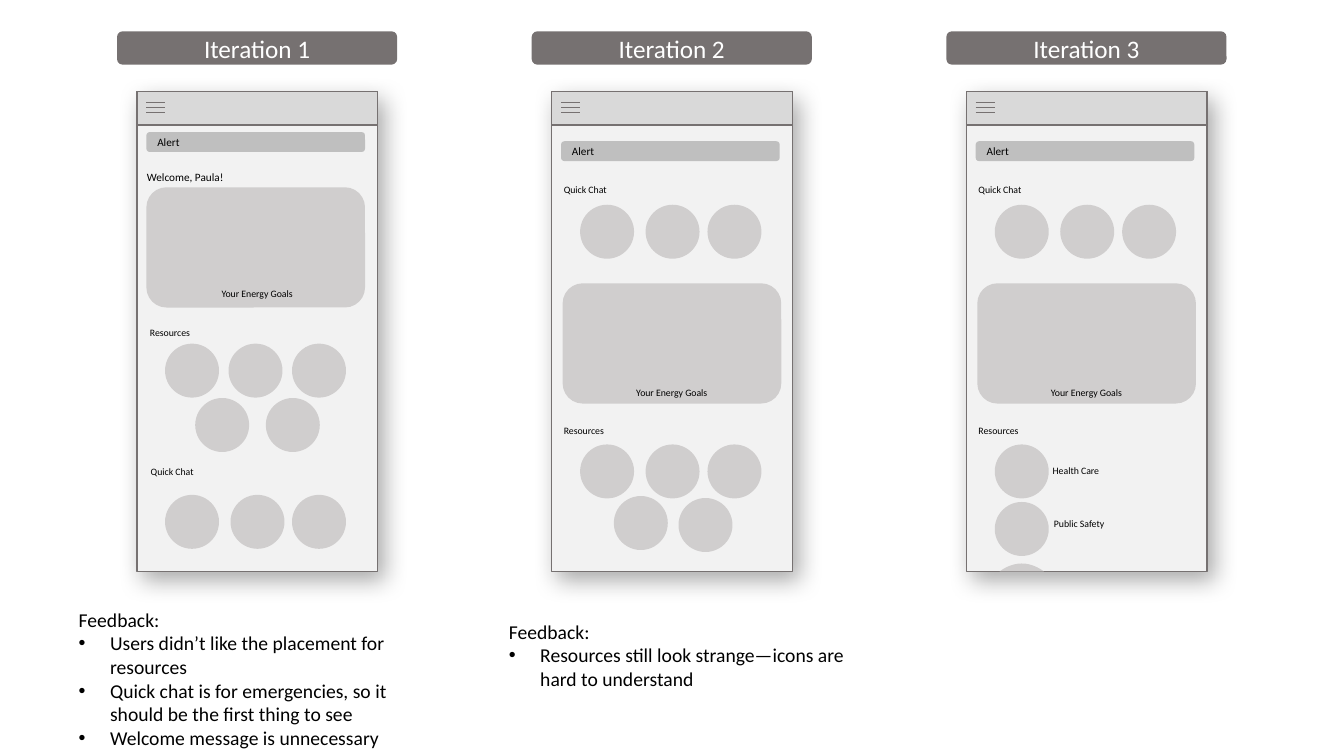
from lxml import etree
from pptx import Presentation
from pptx.dml.color import RGBColor
from pptx.enum import shapes, text
from pptx.oxml import ns, parse_xml
from pptx.util import Cm, Pt

BLACK = RGBColor(0x00, 0x00, 0x00)
WHITE = RGBColor(0xFF, 0xFF, 0xFF)
DARK = RGBColor(0x76, 0x71, 0x71)
ALERT = RGBColor(0xBF, 0xBF, 0xBF)
ICON = RGBColor(0xD0, 0xCE, 0xCE)
HEADER = RGBColor(0xD9, 0xD9, 0xD9)
SCREEN = RGBColor(0xF2, 0xF2, 0xF2)

FIRST_LEFT, PITCH = 3.45, 10.45
PHONE_TOP, PHONE_WIDTH, PHONE_HEIGHT = 2.31, 6.07, 12.09
BAR_HEIGHT, INSET, CARD_WIDTH = 0.84, 0.24, 5.51
CIRCLE = 1.36
CHAT_ROW = [(0.72, 5.16), (2.37, 5.16), (3.93, 5.16)]
LATER_LABELS = [("Quick Chat", 0.06, 4.5, 7), ("Resources", 0.06, 10.59, 7)]

ITERATIONS = [
    {
        "title": "Iteration 1", "alert": 3.33, "card": (0.24, 4.72), "goals": 7.13,
        "labels": [("Welcome, Paula!", 0, 4.17, 8), ("Resources", 0.08, 8.1, 7),
                   ("Quick Chat", 0.1, 11.61, 7)],
        "circles": [(0.71, 8.66), (2.31, 8.66), (3.91, 8.66), (1.47, 10.03), (3.25, 10.03),
                    (0.71, 12.47), (2.36, 12.47), (3.91, 12.47)],
    },
    {
        "title": "Iteration 2", "alert": 3.56, "card": (0.28, 7.14), "goals": 9.63,
        "labels": LATER_LABELS,
        "circles": CHAT_ROW + [(0.72, 11.2), (2.37, 11.2), (3.93, 11.2),
                               (1.57, 12.5), (3.2, 12.55)],
    },
    {
        "title": "Iteration 3", "alert": 3.56, "card": (0.28, 7.14), "goals": 9.63,
        "labels": LATER_LABELS + [("Health Care", 1.93, 11.58, 7),
                                  ("Public Safety", 1.96, 12.93, 7)],
        "circles": CHAT_ROW + [(0.72, 11.2), (0.72, 12.65)],
    },
]

FEEDBACK = [
    ((1.73, 15.19, 9.5, 3.84), [
        "Users didn’t like the placement for resources",
        "Quick chat is for emergencies, so it should be the first thing to see",
        "Welcome message is unnecessary",
    ]),
    ((12.57, 15.49, 9.5, 2.06), ["Resources still look strange—icons are hard to understand"]),
]


def write(paragraph, words, size=7, color=BLACK, align=text.PP_ALIGN.LEFT):
    """Put formatted words into a paragraph."""
    run = paragraph.add_run()
    run.text = words
    run.font.name, run.font.size, run.font.color.rgb = "Calibri", Pt(size), color
    paragraph.alignment = align


def add_box(slide, kind, left, top, width, height, fill, outlined=False):
    """Add a flat preset shape."""
    shape = slide.shapes.add_shape(kind, Cm(left), Cm(top), Cm(width), Cm(height))
    shape.shadow.inherit = False
    shape.fill.solid()
    shape.fill.fore_color.rgb = fill
    if outlined:
        shape.line.color.rgb, shape.line.width = DARK, Pt(1)
    else:
        shape.line.fill.background()
    shape.text_frame.vertical_anchor = text.MSO_ANCHOR.MIDDLE
    return shape


def add_label(slide, words, left, top, size, align=text.PP_ALIGN.LEFT):
    """Add a small caption on a phone screen."""
    box = slide.shapes.add_textbox(Cm(left), Cm(top), Cm(2.54), Cm(0.56))
    box.text_frame.word_wrap = True
    write(box.text_frame.paragraphs[0], words, size=size, align=align)


def add_menu(slide, left):
    """Draw the three menu lines."""
    for row in range(3):
        y = Cm(2.59 + 0.12 * row)
        line = slide.shapes.add_connector(
            shapes.MSO_CONNECTOR.STRAIGHT, Cm(left), y, Cm(left + 0.48), y)
        line.line.color.rgb, line.line.width = DARK, Pt(0.5)
        etree.SubElement(line._element.spPr, ns.qn("a:effectLst"))


def cast_shadow(shape):
    """Give a shape a soft shadow to the lower right."""
    effects = shape._element.spPr.find(ns.qn("a:effectLst"))
    effects.append(parse_xml(
        f'<a:outerShdw {ns.nsdecls("a")} blurRad="{Pt(17)}" dist="{Pt(7)}" dir="3300000" '
        'algn="ctr" rotWithShape="0"><a:srgbClr val="000000"><a:alpha val="32000"/>'
        '</a:srgbClr></a:outerShdw>'))


def add_cut_icon(slide, left):
    """Draw the top of an icon cut off by the screen edge."""
    half, base, rise, steps = 0.56, 14.4, 0.2, 12
    ratios = [2 * step / steps - 1 for step in range(steps + 1)]
    points = [(Cm(left + half * ratio), Cm(base - rise * (1 - ratio ** 2))) for ratio in ratios]
    builder = slide.shapes.build_freeform(*points[0])
    builder.add_line_segments(points[1:], close=True)
    shape = builder.convert_to_shape()
    shape.shadow.inherit = False
    shape.fill.solid()
    shape.fill.fore_color.rgb = ICON
    shape.line.fill.background()


def add_phone(slide, iteration, left):
    """Draw one iteration heading and its phone screen."""
    kinds = shapes.MSO_SHAPE
    heading = add_box(slide, kinds.ROUNDED_RECTANGLE, left - 0.5, 0.79, 7.06, BAR_HEIGHT, DARK)
    write(heading.text_frame.paragraphs[0], iteration["title"], size=18, color=WHITE,
          align=text.PP_ALIGN.CENTER)
    screen = add_box(slide, kinds.RECTANGLE, left, PHONE_TOP, PHONE_WIDTH, PHONE_HEIGHT,
                     SCREEN, outlined=True)
    cast_shadow(screen)
    add_box(slide, kinds.RECTANGLE, left, PHONE_TOP, PHONE_WIDTH, BAR_HEIGHT, HEADER,
            outlined=True)
    add_menu(slide, left + INSET)
    alert = add_box(slide, kinds.ROUNDED_RECTANGLE, left + INSET, iteration["alert"],
                    CARD_WIDTH, 0.5, ALERT)
    write(alert.text_frame.paragraphs[0], "Alert", size=8)
    card_x, card_y = iteration["card"]
    add_box(slide, kinds.ROUNDED_RECTANGLE, left + card_x, card_y, CARD_WIDTH, 3.03, ICON)
    add_label(slide, "Your Energy Goals", left + 1.76, iteration["goals"], 7,
              align=text.PP_ALIGN.CENTER)
    for x, y in iteration["circles"]:
        add_box(slide, kinds.OVAL, left + x, y, CIRCLE, CIRCLE, ICON)
    for words, x, y, size in iteration["labels"]:
        add_label(slide, words, left + x, y, size)


def fill_feedback(placeholder, place, comments):
    """Move a body placeholder and list the feedback in it."""
    placeholder.left, placeholder.top, placeholder.width, placeholder.height = map(Cm, place)
    frame = placeholder.text_frame
    frame.auto_size = text.MSO_AUTO_SIZE.NONE
    for row, words in enumerate(["Feedback:"] + comments):
        paragraph = frame.add_paragraph() if row else frame.paragraphs[0]
        write(paragraph, words, size=14)
        paragraph.space_before = Pt(0)
        properties = paragraph._p.get_or_add_pPr()
        indent = Cm(0.79) if row else 0
        properties.set("marL", str(indent))
        properties.set("indent", str(-indent))
        if row:
            etree.SubElement(properties, ns.qn("a:buChar")).set("char", "•")
        else:
            etree.SubElement(properties, ns.qn("a:buNone"))


def main():
    """Build the slide of wireframe iterations."""
    presentation = Presentation()
    presentation.slide_width, presentation.slide_height = Cm(33.87), Cm(19.05)
    slide = presentation.slides.add_slide(presentation.slide_layouts[3])
    title, *bodies = slide.placeholders
    title._element.getparent().remove(title._element)
    for body, (place, comments) in zip(bodies, FEEDBACK):
        fill_feedback(body, place, comments)
    for column, iteration in enumerate(ITERATIONS):
        add_phone(slide, iteration, FIRST_LEFT + PITCH * column)
    add_cut_icon(slide, FIRST_LEFT + PITCH * 2 + 1.4)
    presentation.save("out.pptx")


if __name__ == "__main__":
    main()
